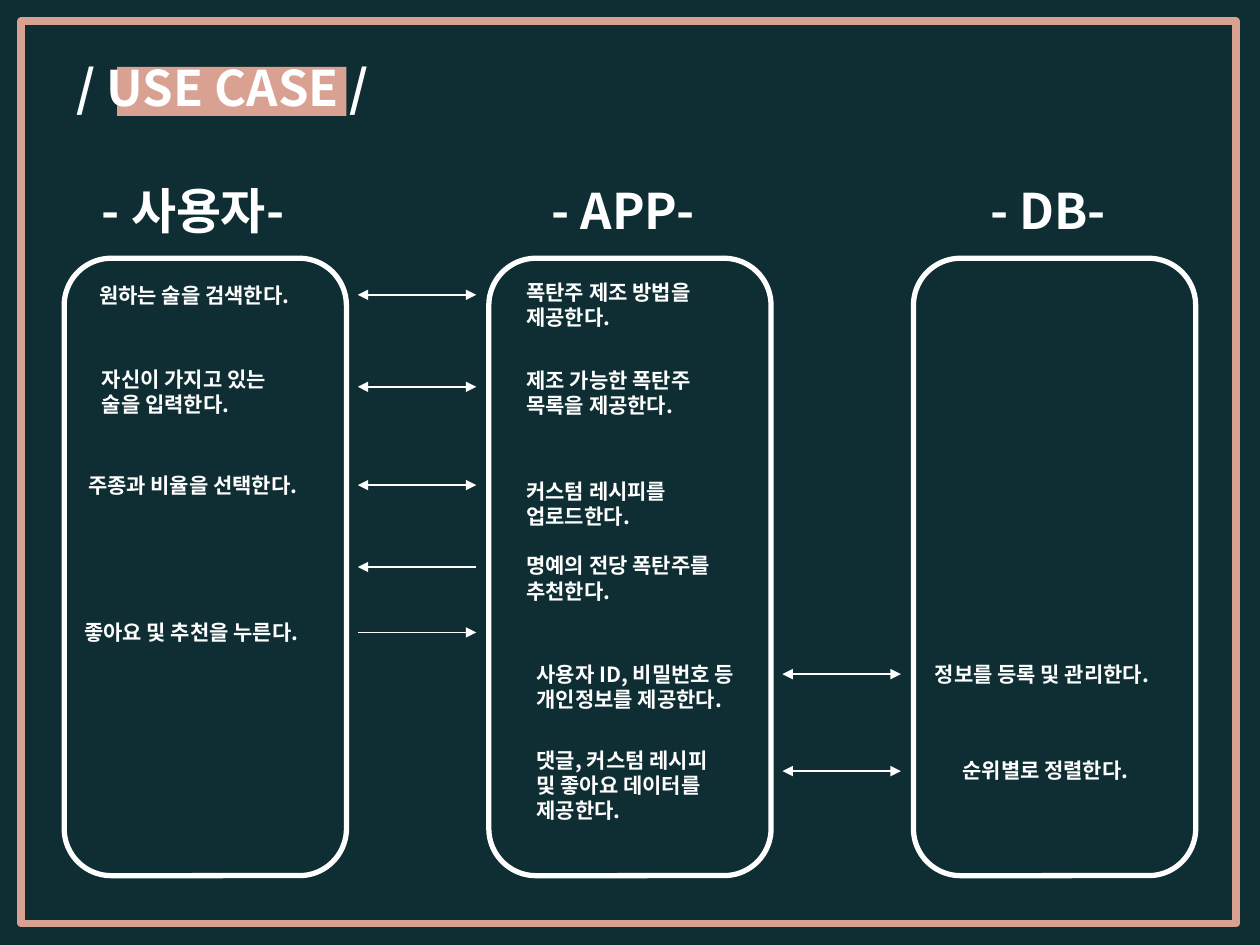
from lxml.etree import SubElement
from pptx import Presentation
from pptx.dml.color import RGBColor
from pptx.enum.shapes import MSO_CONNECTOR, MSO_SHAPE
from pptx.enum.text import MSO_ANCHOR, MSO_AUTO_SIZE, PP_ALIGN
from pptx.oxml.ns import qn
from pptx.util import Inches, Pt

FONT = "Noto Sans CJK KR"
DARK, PINK, WHITE = "0F2E33", "D9A192", "FFFFFF"
COLUMN_LEFT, COLUMN_STEP, COLUMN_WIDTH = 0.51, 3.37, 2.24
COLUMN_TOP, COLUMN_HEIGHT = 2.05, 4.9
ARROW_LEFT, ARROW_WIDTH = 2.84, 0.94


def write(shape, lines, size, wrap=False):
    frame = shape.text_frame
    frame.word_wrap = wrap
    frame.auto_size = MSO_AUTO_SIZE.SHAPE_TO_FIT_TEXT
    frame.vertical_anchor = MSO_ANCHOR.TOP
    for index, line in enumerate(lines):
        paragraph = frame.add_paragraph() if index else frame.paragraphs[0]
        paragraph.alignment = PP_ALIGN.LEFT
        run = paragraph.add_run()
        run.text = line
        run.font.size = Pt(size)
        run.font.bold = True
        run.font.name = FONT
        run.font.color.rgb = RGBColor.from_string(WHITE)
        SubElement(run.font._element, qn("a:ea")).set("typeface", FONT)


def add_box(kind, box, fill=None, line=None, width=0):
    shape = slide.shapes.add_shape(kind, *map(Inches, box))
    shape.shadow.inherit = False
    if fill:
        shape.fill.solid()
        shape.fill.fore_color.rgb = RGBColor.from_string(fill)
    else:
        shape.fill.background()
    if line:
        shape.line.color.rgb = RGBColor.from_string(line)
        shape.line.width = Pt(width)
    else:
        shape.line.fill.background()


presentation = Presentation()
presentation.slide_width = Inches(10)
presentation.slide_height = Inches(7.5)
slide = presentation.slides.add_slide(presentation.slide_layouts[5])
slide.background.fill.solid()
slide.background.fill.fore_color.rgb = RGBColor.from_string(DARK)

add_box(MSO_SHAPE.RECTANGLE, (0.93, 0.53, 1.82, 0.39), fill=PINK)
add_box(MSO_SHAPE.RECTANGLE, (0.17, 0.17, 9.64, 7.16), line=PINK, width=4.5)

title = slide.shapes.title
title.left, title.top, title.width, title.height = map(Inches, (0.51, 0.41, 3.02, 0.57))
write(title, ["/ USE CASE /"], 28, wrap=True)
slide.shapes._spTree.append(title._element)

headings = [("- 사용자-", 0.71, 1.84), ("- APP-", 4.28, 1.43), ("- DB-", 7.76, 1.21)]
for column, (heading, left, width) in enumerate(headings):
    column_left = COLUMN_LEFT + column * COLUMN_STEP
    add_box(MSO_SHAPE.ROUNDED_RECTANGLE,
            (column_left, COLUMN_TOP, COLUMN_WIDTH, COLUMN_HEIGHT), line=WHITE, width=3)
    text_box = slide.shapes.add_textbox(Inches(left), Inches(1.38), Inches(width), Inches(0.57))
    write(text_box, [heading], 28)

steps = [
    (0.69, 2.19, 1.88, ["원하는 술을 검색한다."]),
    (0.71, 2.86, 1.67, ["자신이 가지고 있는", "술을 입력한다."]),
    (0.6, 3.7, 2.05, ["주종과 비율을 선택한다."]),
    (0.57, 4.87, 2.11, ["좋아요 및 추천을 누른다."]),
    (4.08, 2.17, 1.67, ["폭탄주 제조 방법을", "제공한다."]),
    (4.08, 2.87, 1.73, ["제조 가능한 폭탄주 ", "목록을 제공한다."]),
    (4.08, 3.75, 1.44, ["커스텀 레시피를", "업로드한다."]),
    (4.08, 4.34, 1.84, ["명예의 전당 폭탄주를", "추천한다."]),
    (4.16, 5.2, 1.94, ["사용자 ID, 비밀번호 등", "개인정보를 제공한다."]),
    (4.16, 5.88, 1.71, ["댓글, 커스텀 레시피", "및 좋아요 데이터를 ", "제공한다."]),
    (7.32, 5.2, 2.11, ["정보를 등록 및 관리한다."]),
    (7.54, 5.96, 1.65, ["순위별로 정렬한다."]),
]
for left, top, width, lines in steps:
    height = 0.1 + 0.2 * len(lines)
    text_box = slide.shapes.add_textbox(*map(Inches, (left, top, width, height)))
    write(text_box, lines, 12)

arrows = [
    (0, 2.34, "both"), (0, 3.07, "both"), (0, 3.85, "both"),
    (0, 4.5, "left"), (0, 5.02, "right"),
    (1, 5.35, "both"), (1, 6.12, "both"),
]
for gap, y, direction in arrows:
    start = ARROW_LEFT + gap * COLUMN_STEP
    end = start + ARROW_WIDTH
    if direction == "left":
        start, end = end, start
    arrow = slide.shapes.add_connector(
        MSO_CONNECTOR.STRAIGHT, Inches(start), Inches(y), Inches(end), Inches(y))
    arrow.line.color.rgb = RGBColor.from_string(WHITE)
    arrow.line.width = Pt(1)
    line = arrow.line._get_or_add_ln()
    if direction == "both":
        SubElement(line, qn("a:headEnd")).set("type", "triangle")
    SubElement(line, qn("a:tailEnd")).set("type", "triangle")
    SubElement(arrow._element.spPr, qn("a:effectLst"))

presentation.save("out.pptx")
